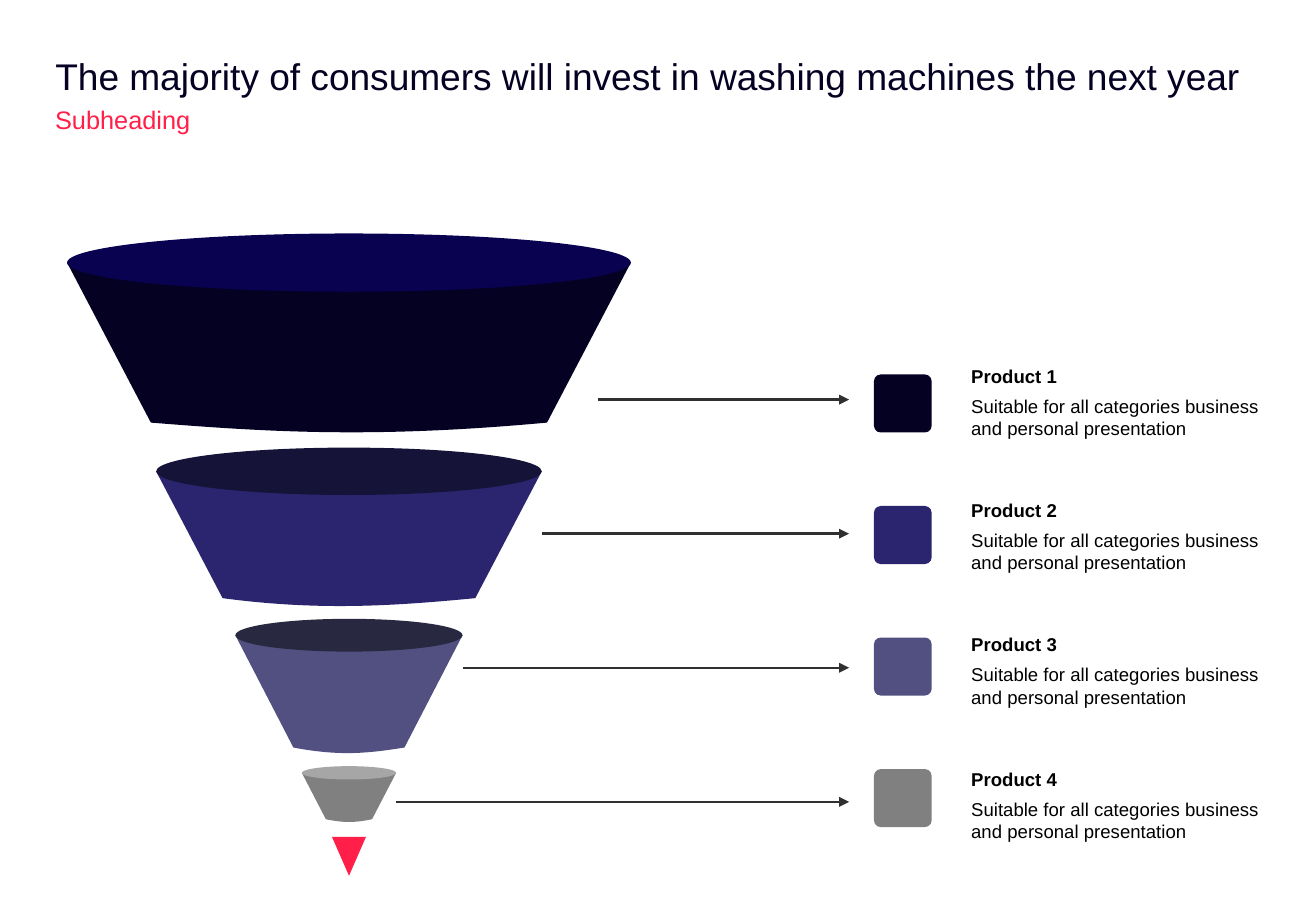
from lxml import etree
from pptx import Presentation
from pptx import util as u
from pptx.dml.color import RGBColor
from pptx.enum import shapes, text
from pptx.oxml import ns

NAVY = RGBColor(0x04, 0x01, 0x23)
ROYAL = RGBColor(0x09, 0x02, 0x51)
INDIGO = RGBColor(0x2B, 0x25, 0x6F)
MIDNIGHT = RGBColor(0x15, 0x13, 0x38)
SLATE = RGBColor(0x51, 0x50, 0x81)
CHARCOAL = RGBColor(0x28, 0x28, 0x40)
GREY = RGBColor(0x80, 0x80, 0x80)
SILVER = RGBColor(0xA6, 0xA6, 0xA6)
RED = RGBColor(0xFF, 0x1F, 0x49)
ARROW = RGBColor(0x30, 0x30, 0x30)
BLACK = RGBColor(0, 0, 0)

COLUMNS, ROWS = 108.3, 75
FUNNEL_CENTRE = 28.72

# half width and row of rim, rim height, half width and row of base, body height,
# the two control points of the base curve, arrow start, colours
TIERS = [
    (23.2, 19.22, 4.8, 16.3, 34.8, 14, (22.3, 35.6), (30.9, 36.1), 49.2, NAVY, ROYAL),
    (15.87, 36.85, 3.9, 10.4, 49.25, 11.1, (26.2, 50.3), (32.3, 49.9), 44.6,
     INDIGO, MIDNIGHT),
    (9.35, 50.95, 2.7, 4.57, 61.55, 9.6, (28.1, 62.3), (30.4, 62), 38.1,
     SLATE, CHARCOAL),
    (3.88, 63.08, 1.1, 1.9, 67.45, 4, (28.5, 67.8), (29.4, 67.7), 32.6, GREY, SILVER),
]


class FunnelSlide:
    """Places elements by column and row on a grid over one slide."""

    font = "Arial"

    def __init__(self, prs):
        self.slide = prs.slides.add_slide(prs.slide_layouts[6])
        self.column = prs.slide_width / COLUMNS
        self.row = prs.slide_height / ROWS

    def x(self, columns):
        return u.Emu(round(columns * self.column))

    def y(self, rows):
        return u.Emu(round(rows * self.row))

    def paint(self, shape, colour):
        shape.shadow.inherit = False
        shape.fill.solid()
        shape.fill.fore_color.rgb = colour
        shape.line.fill.background()
        return shape

    def preset(self, kind, left, top, width, height, colour):
        shape = self.slide.shapes.add_shape(
            kind, self.x(left), self.y(top), self.x(width), self.y(height))
        return self.paint(shape, colour)

    def curved_body(self, half_top, top, half_base, base, height, bend1, bend2, colour):
        """Draws a tapering body whose base is one cubic curve."""
        rim_left = (FUNNEL_CENTRE - half_top, top)
        corners = [(FUNNEL_CENTRE - half_base, base), bend1, bend2,
                   (FUNNEL_CENTRE + half_base, base),
                   (FUNNEL_CENTRE + half_top, top), rim_left]
        outline = self.slide.shapes.build_freeform(
            self.x(rim_left[0]), self.y(rim_left[1]))
        outline.add_line_segments([(self.x(px), self.y(py)) for px, py in corners])
        body = self.paint(outline.convert_to_shape(), colour)
        route = next(body._element.iter(ns.qn("a:path")))
        bends = route.findall(ns.qn("a:lnTo"))[1:4]
        curve = etree.Element(ns.qn("a:cubicBezTo"))
        bends[0].addprevious(curve)
        for bend in bends:
            curve.append(bend[0])
            route.remove(bend)
        # the control points lie below the curve, so the frame ends above them
        body.height = self.y(height)
        route.set("h", str(body.height))

    def label(self, words, left, top, width, height, size, colour=BLACK,
              bold=False, spacing=1.0):
        frame = self.slide.shapes.add_textbox(
            self.x(left), self.y(top), self.x(width), self.y(height)).text_frame
        frame.word_wrap = True
        frame.vertical_anchor = text.MSO_ANCHOR.TOP
        frame.margin_left = frame.margin_right = 0
        frame.margin_top = frame.margin_bottom = 0
        frame.text = words
        paragraph = frame.paragraphs[0]
        paragraph.line_spacing = spacing
        font = paragraph.runs[0].font
        font.name, font.size, font.bold = self.font, u.Pt(size), bold
        font.color.rgb = colour

    def arrow(self, start, end, row):
        line = self.slide.shapes.add_connector(
            shapes.MSO_CONNECTOR.STRAIGHT,
            self.x(start), self.y(row), self.x(end), self.y(row))
        line.line.color.rgb = ARROW
        line.line.width = u.Pt(1.5)
        etree.SubElement(line.line._get_or_add_ln(), ns.qn("a:tailEnd"), type="triangle")
        etree.SubElement(line._element.spPr, ns.qn("a:effectLst"))

    def tier(self, half_top, top, rim, half_base, base, height, bend1, bend2,
             fill, rim_fill):
        self.curved_body(half_top, top + rim / 2, half_base, base, height,
                         bend1, bend2, fill)
        self.preset(shapes.MSO_SHAPE.OVAL, FUNNEL_CENTRE - half_top, top,
                    2 * half_top, rim, rim_fill)

    def product(self, index, arrow_start, colour):
        swatch = self.preset(shapes.MSO_SHAPE.ROUNDED_RECTANGLE, 71.92,
                             30.83 + 10.83 * index, 4.75, 4.78, colour)
        swatch.adjustments[0] = 0.117
        top = 29.84 + 11.06 * index
        self.label(f"Product {index + 1}", 79.92, top, 23.8, 1.9, 11,
                   bold=True, spacing=1.1)
        self.label("Suitable for all categories business and personal presentation",
                   79.92, top + 2.65, 23.8, 3.7, 11)
        self.arrow(arrow_start, 69.88, 32.9 + 11.04 * index)


def main():
    prs = Presentation()
    prs.slide_width, prs.slide_height = u.Inches(10.83), u.Inches(7.5)
    funnel = FunnelSlide(prs)
    funnel.label("The majority of consumers will invest in washing machines the next year",
                 4.55, 4.4, 99.2, 3.7, 22, NAVY)
    funnel.label("Subheading", 4.54, 8.1, 35.5, 2.8, 15, RED, spacing=1.2)
    for index, (*geometry, arrow_start, fill, rim_fill) in enumerate(TIERS):
        funnel.tier(*geometry, fill, rim_fill)
        funnel.product(index, arrow_start, fill)
    tip = funnel.preset(shapes.MSO_SHAPE.ISOSCELES_TRIANGLE, FUNNEL_CENTRE - 1.4,
                        68.9, 2.8, 3.2, RED)
    tip.rotation = 180
    prs.save("out.pptx")


if __name__ == "__main__":
    main()
